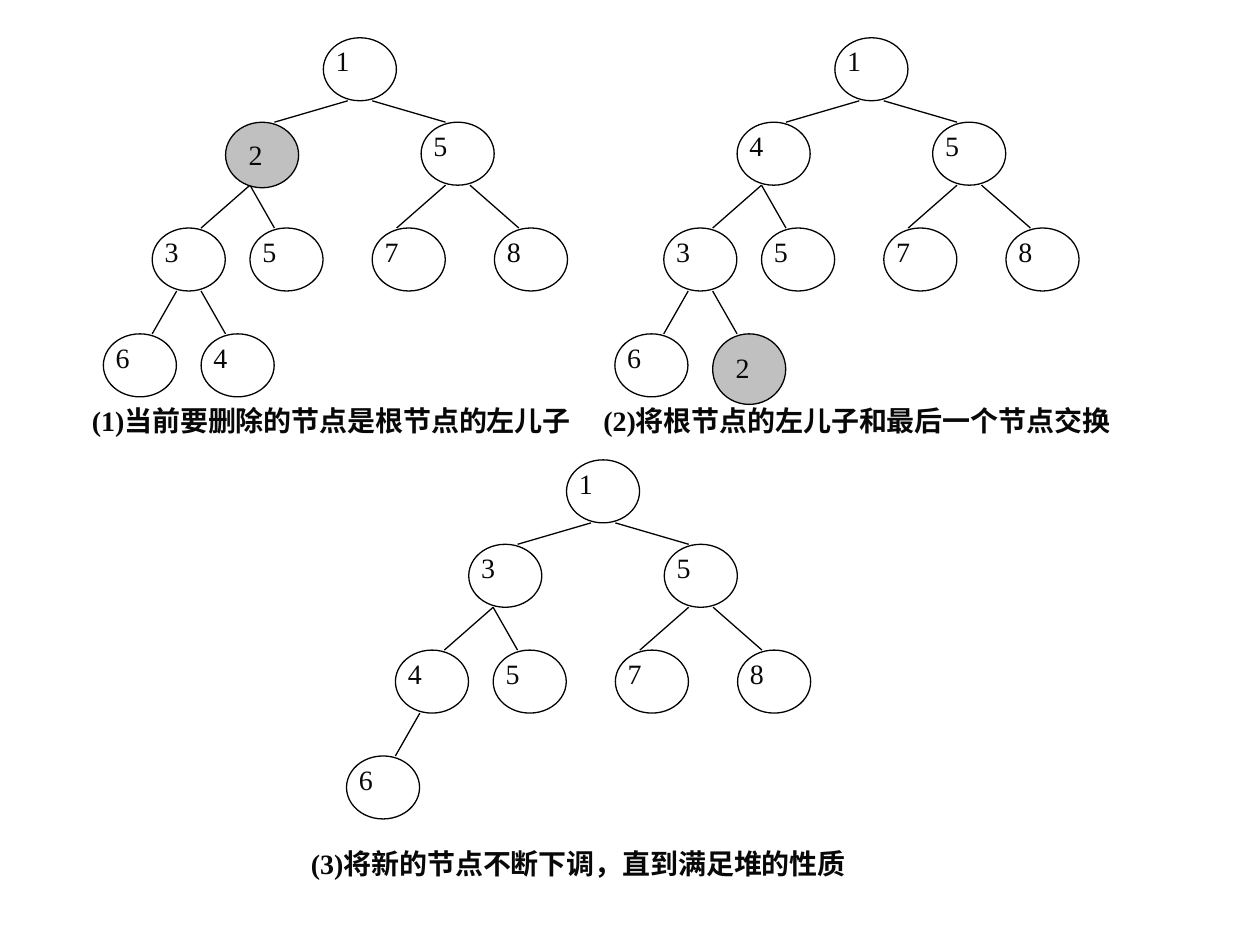
from lxml.etree import SubElement
from pptx import Presentation
from pptx.dml.color import RGBColor
from pptx.enum.shapes import MSO_CONNECTOR, MSO_SHAPE
from pptx.enum.text import MSO_ANCHOR, PP_ALIGN
from pptx.oxml.ns import qn
from pptx.util import Inches, Pt

COLORS = {"node": "FFFFFF", "mark": "C0C0C0", "line": "000000", "text": "080808"}
FONT = "Times New Roman"
UNIT = 0.194
WIDE, HIGH = 0.58, 0.5
TOPS = [0, 0.67, 1.51, 2.35]
COLS = [9, 5, 13, 2, 6, 11, 16, 0, 4]
EDGES = [(10, 7), (11, 14), (6, 4), (6, 7), (14, 12), (15, 17), (3, 2), (4, 5)]
TREES = [
    (0.82, 0.3, [1, 2, 5, 3, 5, 7, 8, 6, 4], {1: 0.52},
     (-0.19, 2.85, 4.25), "(1)当前要删除的节点是根节点的左儿子"),
    (4.88, 0.3, [1, 4, 5, 3, 5, 7, 8, 6, 2], {8: 0.56},
     (-0.19, 2.85, 4.45), "(2)将根节点的左儿子和最后一个节点交换"),
    (2.75, 3.65, [1, 3, 5, 4, 5, 7, 8, 6], {},
     (-0.38, 3.02, 4.83), "(3)将新的节点不断下调，直到满足堆的性质"),
]


def color(name):
    return RGBColor.from_string(COLORS[name])


def write(shape, text, bold=False):
    frame = shape.text_frame
    frame.word_wrap = True
    frame.vertical_anchor = MSO_ANCHOR.TOP
    para = frame.paragraphs[0]
    para.alignment = PP_ALIGN.JUSTIFY
    run = para.add_run()
    run.text = text
    run.font.name = FONT
    run.font.size = Pt(16)
    run.font.bold = bold
    run.font.color.rgb = color("text")


def add_label(group, x, y, wide, high, text, bold=False):
    box = group.shapes.add_textbox(Inches(x), Inches(y), Inches(wide), Inches(high))
    write(box, text, bold)


def add_edge(group, x1, y1, x2, y2):
    edge = group.shapes.add_connector(
        MSO_CONNECTOR.STRAIGHT, Inches(x1), Inches(y1), Inches(x2), Inches(y2))
    edge.line.color.rgb = color("line")
    edge.line.width = Pt(0.75)
    SubElement(edge._element.spPr, qn("a:effectLst"))


def add_node(group, x, y, text, mark):
    node = group.shapes.add_shape(
        MSO_SHAPE.OVAL, Inches(x), Inches(y), Inches(WIDE), Inches(mark or HIGH))
    node.shadow.inherit = False
    node.fill.solid()
    node.fill.fore_color.rgb = color("mark" if mark else "node")
    node.line.color.rgb = color("line")
    node.line.width = Pt(0.75)
    if mark:
        write(node, text)
    else:
        add_label(group, x, y, 0.77, 0.67, text)


def add_tree(slide, left, top, keys, marks, place, title):
    group = slide.shapes.add_group_shape()
    rows = [top + TOPS[(i + 1).bit_length() - 1] for i in range(len(keys))]
    for i in range(1, len(keys)):
        start, end = EDGES[i - 1]
        add_edge(group, left + start * UNIT, rows[(i - 1) // 2] + HIGH,
                 left + end * UNIT, rows[i])
    for i, key in enumerate(keys):
        add_node(group, left + COLS[i] * UNIT, rows[i], str(key), marks.get(i))
    x, y, wide = place
    add_label(group, left + x, top + y, wide, 0.5, title, True)


def main():
    deck = Presentation()
    deck.slide_width = Inches(10)
    deck.slide_height = Inches(7.5)
    slide = deck.slides.add_slide(deck.slide_layouts[6])
    for tree in TREES:
        add_tree(slide, *tree)
    deck.save("out.pptx")


if __name__ == "__main__":
    main()
